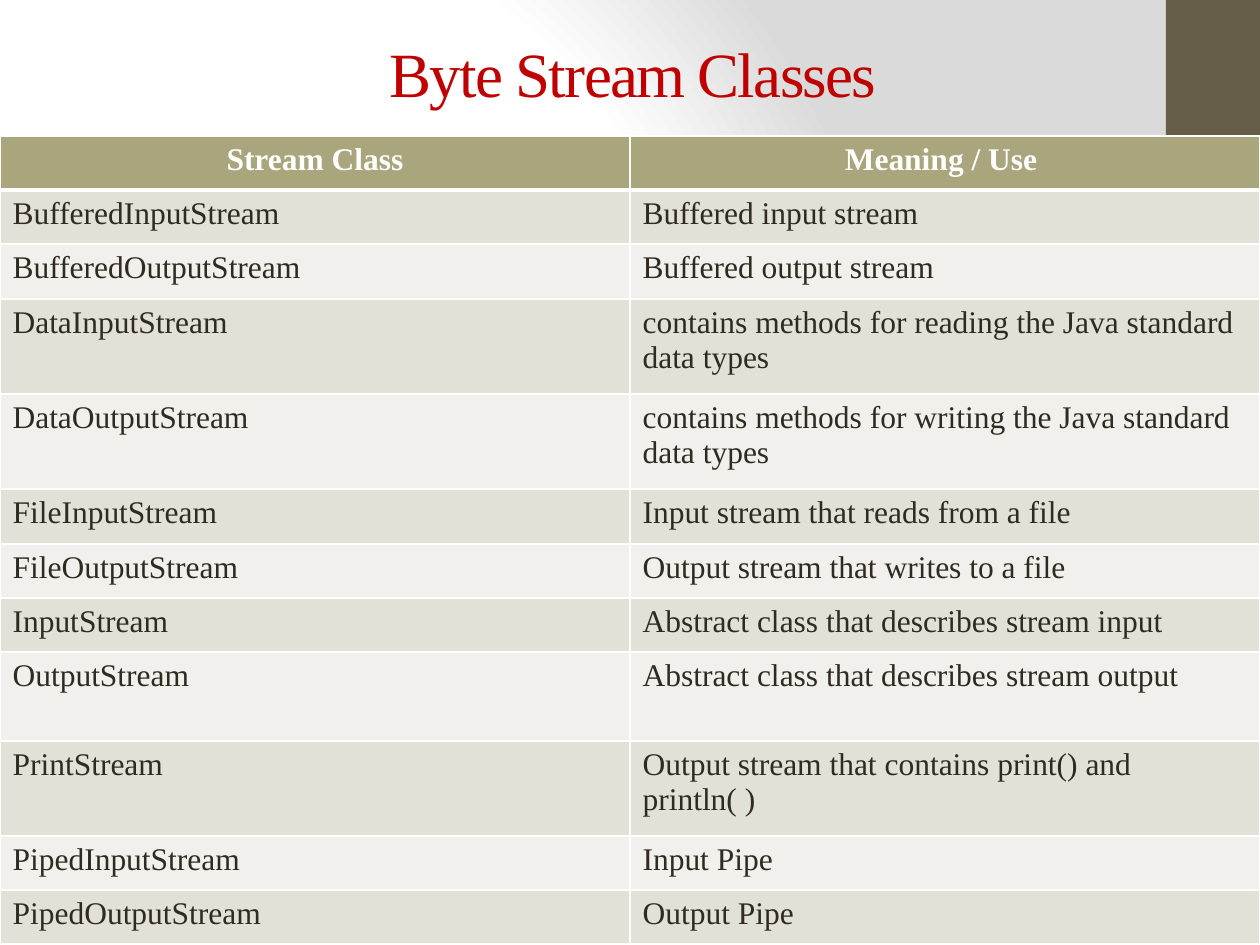
import itertools

import lxml.etree
import pptx
import pptx.dml.color
import pptx.enum.shapes
import pptx.enum.text
import pptx.oxml
import pptx.oxml.ns
import pptx.util

PX = 914400 / 126  # EMU in one px


class Theme:
    font = "Times New Roman"
    title_size, table_size = 36, 18
    title = "C00000"
    ink = "2F2B20"
    white = "FFFFFF"
    shade = "DADADA"
    sidebar = "675E47"
    accent = "A9A57C"
    bands = ("E2E1D7", "F1F0EC")
    rule, header_rule = 1, 3


HEADER = ("Stream Class", "Meaning / Use ")
CLASSES = [
    ("BufferedInputStream", "Buffered input stream"),
    ("BufferedOutputStream", "Buffered output stream"),
    ("DataInputStream", "contains methods for reading the Java standard data types"),
    ("DataOutputStream", "contains methods for writing the Java standard data types"),
    ("FileInputStream", "Input stream that reads from a file"),
    ("FileOutputStream", "Output stream that writes to a file"),
    ("InputStream", "Abstract class that describes stream input"),
    ("OutputStream", "Abstract class that describes stream output"),
    ("PrintStream", "Output stream that contains print() and println( )"),
    ("PipedInputStream", "Input Pipe"),
    ("PipedOutputStream", "Output Pipe"),
]
ROW_EDGES = (136, 190, 244, 299, 394, 489, 544, 598, 652, 741, 836, 890, 944)


def px(length):
    return pptx.util.Emu(round(length * PX))


def rgb(colour):
    return pptx.dml.color.RGBColor.from_string(colour)


def write(paragraph, text, size, colour, bold=False, centred=False):
    align = pptx.enum.text.PP_ALIGN
    paragraph.alignment = align.CENTER if centred else align.LEFT
    run = paragraph.add_run()
    run.text = text
    run.font.name = Theme.font
    run.font.size = pptx.util.Pt(size)
    run.font.bold = bold
    run.font.color.rgb = rgb(colour)
    return run


def paint_background(slide):
    slide.background.fill.gradient()
    gradient = slide.element.find(".//" + pptx.oxml.ns.qn("a:gradFill"))
    stops = "".join(
        f'<a:gs pos="{percent * 1000}"><a:srgbClr val="{colour}"/></a:gs>'
        for percent, colour in ((0, Theme.white), (75, Theme.white), (100, Theme.shade))
    )
    radial = pptx.oxml.parse_xml(
        f'<a:gradFill {pptx.oxml.ns.nsdecls("a")} rotWithShape="1">'
        f'<a:gsLst>{stops}</a:gsLst><a:path path="circle">'
        '<a:fillToRect l="20000" t="50000" r="100000" b="50000"/>'
        "</a:path></a:gradFill>"
    )
    gradient.getparent().replace(gradient, radial)


def add_block(slide, left, top, width, height, colour):
    block = slide.shapes.add_shape(
        pptx.enum.shapes.MSO_SHAPE.RECTANGLE, px(left), px(top), px(width), px(height)
    )
    block.shadow.inherit = False
    block.fill.solid()
    block.fill.fore_color.rgb = rgb(colour)
    block.line.fill.background()


def set_title(slide, text):
    title = slide.shapes.title
    title.left, title.top, title.width, title.height = px(69), px(0), px(1128), px(145)
    frame = title.text_frame
    frame.word_wrap = True
    frame.auto_size = pptx.enum.text.MSO_AUTO_SIZE.NONE
    frame.vertical_anchor = pptx.enum.text.MSO_ANCHOR.MIDDLE
    run = write(frame.paragraphs[0], text, Theme.title_size, Theme.title, centred=True)
    run.font.element.set("spc", "-100") if hasattr(run.font, "element") else \
        run.text and frame.paragraphs[0].runs[0].font._element.set("spc", "-100")
    # The title lies in front of the sidebar
    title.element.getparent().append(title.element)


def set_borders(cell, top, bottom):
    properties = cell._tc.get_or_add_tcPr()
    widths = {"lnL": Theme.rule, "lnR": Theme.rule, "lnT": top, "lnB": bottom}
    for place, (side, width) in enumerate(widths.items()):
        border = pptx.oxml.parse_xml(
            f'<a:{side} {pptx.oxml.ns.nsdecls("a")} w="{pptx.util.Pt(width)}">'
            f'<a:solidFill><a:srgbClr val="{Theme.white}"/></a:solidFill></a:{side}>'
        )
        properties.insert(place, border)


def add_class_table(slide):
    rows = [HEADER, *CLASSES]
    top, bottom = ROW_EDGES[0], ROW_EDGES[-1]
    table = slide.shapes.add_table(
        len(rows), len(HEADER), px(0), px(top), px(1260), px(bottom - top)
    ).table
    for column in table.columns:
        column.width = px(630)
    for row, (start, end) in zip(table.rows, itertools.pairwise(ROW_EDGES)):
        row.height = px(end - start)

    for r, texts in enumerate(rows):
        is_header = r == 0
        fill = Theme.accent if is_header else Theme.bands[(r - 1) % 2]
        ink = Theme.white if is_header else Theme.ink
        for c, text in enumerate(texts):
            cell = table.cell(r, c)
            cell.fill.solid()
            cell.fill.fore_color.rgb = rgb(fill)
            set_borders(
                cell,
                top=Theme.header_rule if r == 1 else Theme.rule,
                bottom=Theme.header_rule if is_header else Theme.rule,
            )
            write(cell.text_frame.paragraphs[0], text, Theme.table_size, ink,
                  bold=is_header, centred=is_header)


def main():
    presentation = pptx.Presentation()
    presentation.slide_width, presentation.slide_height = px(1260), px(945)
    slide = presentation.slides.add_slide(presentation.slide_layouts[5])

    # Backdrop: radial gradient and sidebar
    paint_background(slide)
    add_block(slide, 1166, 0, 94, 945, Theme.sidebar)
    add_block(slide, 1166, 756, 94, 94, Theme.accent)

    # Content
    set_title(slide, "Byte Stream Classes")
    add_class_table(slide)
    presentation.save("out.pptx")


if __name__ == "__main__":
    main()
